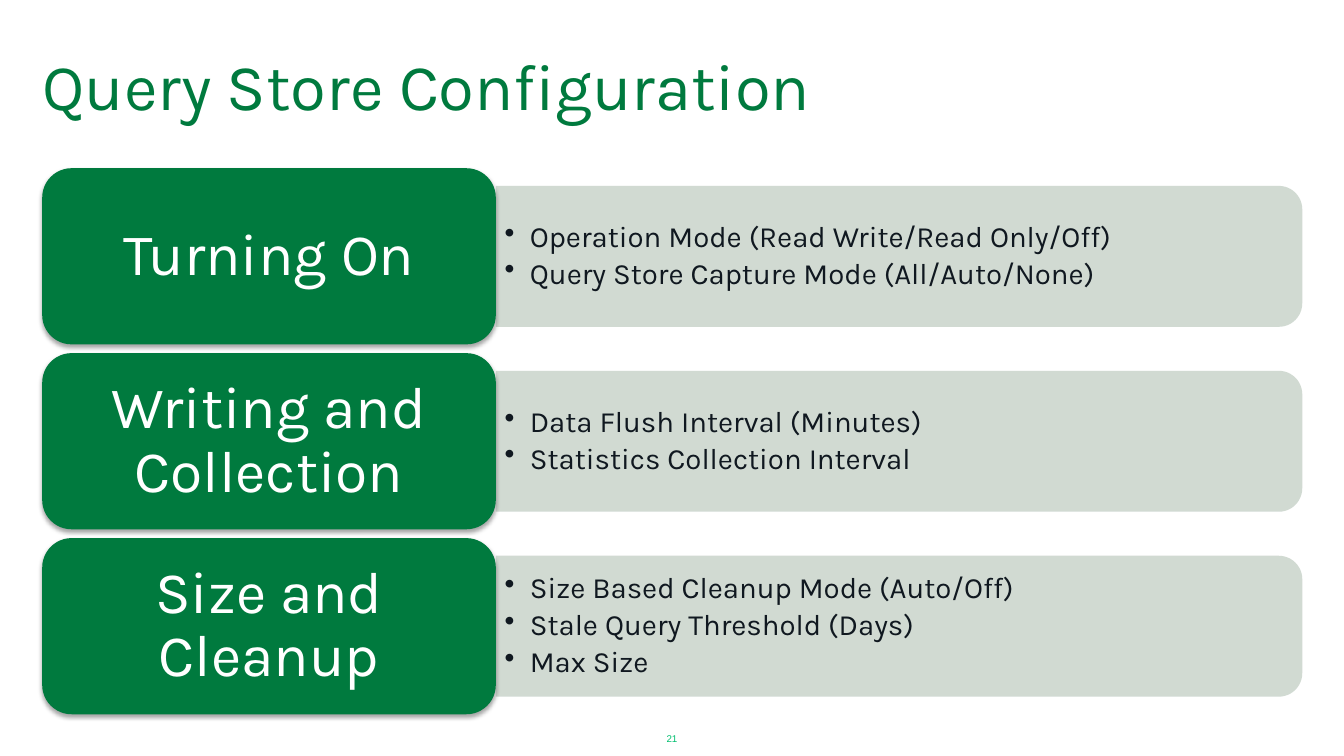
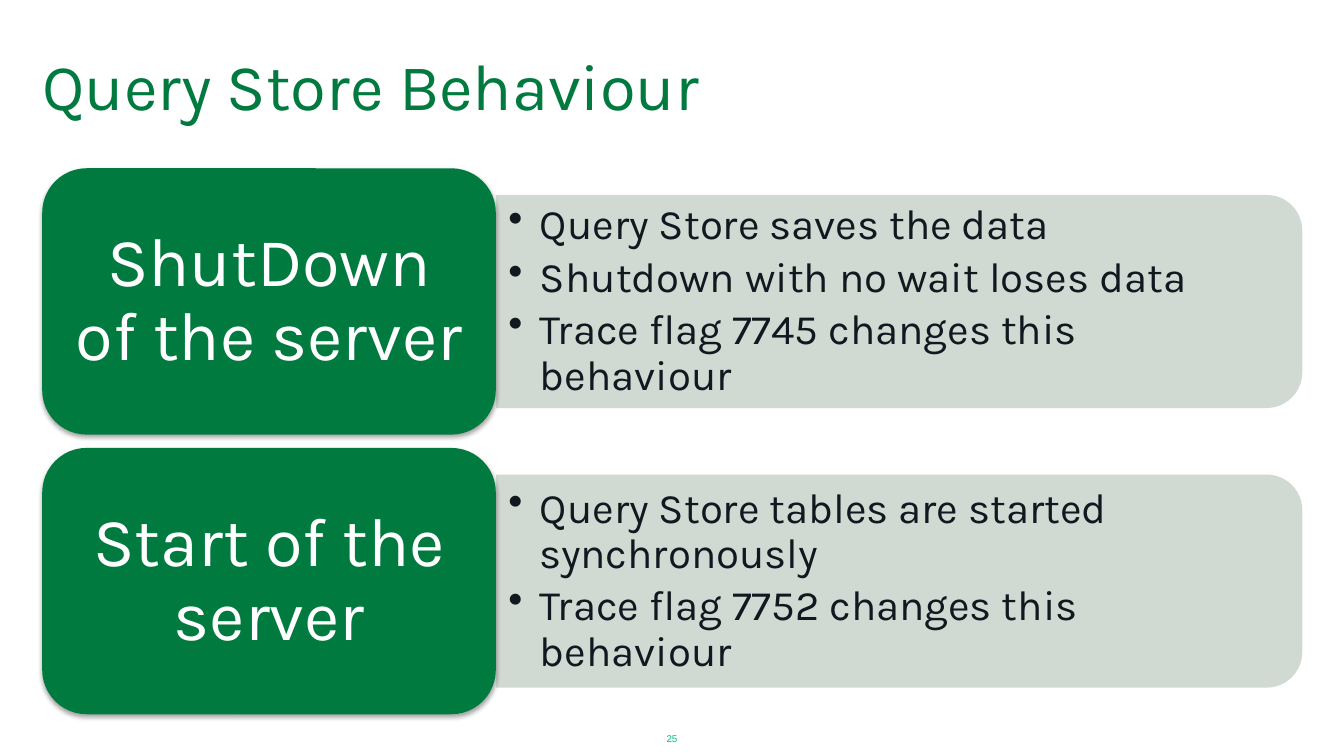
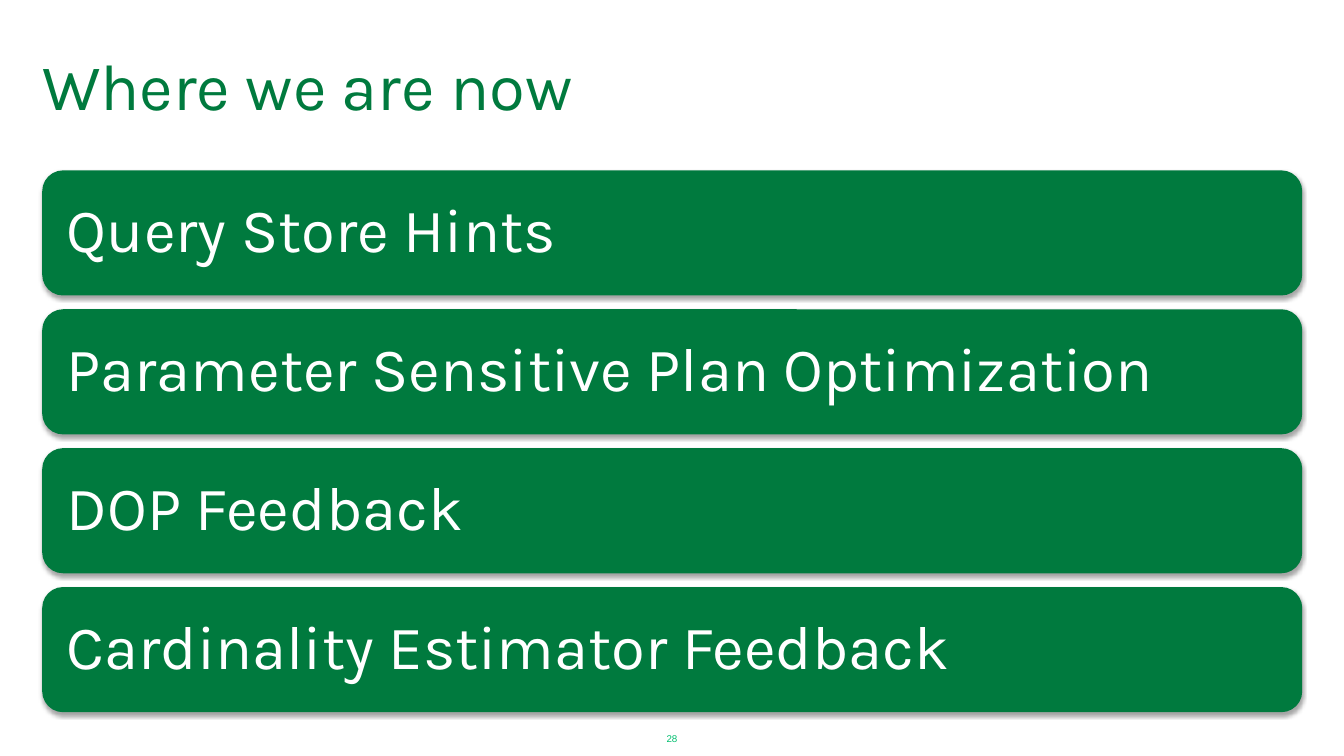
from pptx import Presentation
from pptx.util import Pt
from pptx.dml.color import RGBColor
from pptx.enum import shapes, text
from pptx.oxml import parse_xml
from pptx.oxml.ns import nsdecls, qn
from lxml import etree

GREEN = RGBColor(0x00, 0x7A, 0x3E)
MINT = RGBColor(0x00, 0xBF, 0x6F)
SAGE = RGBColor(0xCC, 0xD7, 0xCE)
INK = RGBColor(0x10, 0x18, 0x20)
WHITE = RGBColor(0xFF, 0xFF, 0xFF)
LEFT, CENTER = text.PP_ALIGN.LEFT, text.PP_ALIGN.CENTER

SHADOW = (f'<a:effectLst {nsdecls("a")}><a:outerShdw blurRad="{Pt(3.1)}" dist="{Pt(1.8)}" '
          'dir="5400000" rotWithShape="0"><a:srgbClr val="000000"><a:alpha val="35000"/>'
          '</a:srgbClr></a:outerShdw></a:effectLst>')


def write(sp, lines, size, color, font="Karla", align=LEFT, inset=(0, 0),
          spacing=1.0, indent=0):
    """Fill a shape with paragraphs; an indent makes them bullets."""
    tf = sp.text_frame
    tf.word_wrap = True
    tf.vertical_anchor = text.MSO_ANCHOR.MIDDLE
    tf.margin_left = tf.margin_right = Pt(inset[0])
    tf.margin_top = tf.margin_bottom = Pt(inset[1])
    for i, line in enumerate(lines):
        p = tf.paragraphs[0] if i == 0 else tf.add_paragraph()
        p.alignment = align
        p.line_spacing = spacing
        if i:
            p.space_before = Pt(round(size * 0.17, 1))
        if indent:
            pPr = p._p.get_or_add_pPr()
            pPr.set("marL", str(Pt(indent)))
            pPr.set("indent", str(-Pt(indent)))
            etree.SubElement(pPr, qn("a:buChar")).set("char", "•")
        r = p.add_run()
        r.text = line
        r.font.size, r.font.name = Pt(size), font
        r.font.color.rgb = color


def add_box(s, kind, x, y, w, h, fill):
    """Add a borderless filled shape without a shadow."""
    sp = s.shapes.add_shape(kind, Pt(x), Pt(y), Pt(w), Pt(h))
    sp.shadow.inherit = False
    sp.fill.solid()
    sp.fill.fore_color.rgb = fill
    sp.line.fill.background()
    return sp


# Shared grid
LEFT_EDGE, TOP, WIDTH, HEIGHT = 30.2, 120.2, 900, 390
CARD_W = 324
PANEL_X, PANEL_W = LEFT_EDGE + CARD_W, WIDTH - CARD_W

# Rows hold a card label and its bullets
slides = [
    dict(title="Query Store Configuration", number="21", gap=0.05,
         card=42, card_inset=(12, 6.3), body=21, body_inset=(6.3, 3.2), indent=18,
         rows=[("Turning On", ["Operation Mode (Read Write/Read Only/Off)",
                               "Query Store Capture Mode (All/Auto/None)"]),
               ("Writing and Collection", ["Data Flush Interval (Minutes)",
                                           "Statistics Collection Interval"]),
               ("Size and Cleanup", ["Size Based Cleanup Mode (Auto/Off)",
                                     "Stale Query Threshold (Days)", "Max Size"])]),
    dict(title="Query Store Behaviour", number="25", gap=0.05,
         card=49, card_inset=(14.4, 7.2), body=30, body_inset=(9, 4.5), indent=22.5,
         rows=[("ShutDown of the server", ["Query Store saves the data",
                                           "Shutdown with no wait loses data",
                                           "Trace flag 7745 changes this behaviour"]),
               ("Start of the server", ["Query Store tables are started synchronously",
                                        "Trace flag 7752 changes this behaviour"])]),
    dict(title="Where we are now", number="28", gap=0.11, card=44, card_inset=(13.2, 13.2),
         rows=[("Query Store Hints", []), ("Parameter Sensitive Plan Optimization", []),
               ("DOP Feedback", []), ("Cardinality Estimator Feedback", [])]),
]

prs = Presentation()
prs.slide_width, prs.slide_height = Pt(960), Pt(540)

for d in slides:
    s = prs.slides.add_slide(prs.slide_layouts[6])

    # Page number and title
    sp = s.shapes.add_textbox(Pt(457.7), Pt(515.5), Pt(44.6), Pt(24.5))
    write(sp, [d["number"]], 7, MINT, font="Arial", align=CENTER, inset=(7.2, 3.6))
    sp = s.shapes.add_textbox(Pt(LEFT_EDGE), Pt(30), Pt(WIDTH), Pt(60))
    write(sp, [d["title"]], 46.6, GREEN)

    # Rows share the height; each gap is a fraction of a row
    n = len(d["rows"])
    has_panels = "body" in d
    margin = 0 if has_panels else 1.5
    row_h = (HEIGHT - 2 * margin) / (n + (n - 1) * d["gap"])
    for i, (label, bullets) in enumerate(d["rows"]):
        y = TOP + margin + i * row_h * (1 + d["gap"])

        # Panel: a shape rounded at its top, turned to face right
        if has_panels:
            h = row_h * 0.8
            panel_y = y + row_h * 0.1
            sp = add_box(s, shapes.MSO_SHAPE.ROUND_2_SAME_RECTANGLE,
                         PANEL_X + (PANEL_W - h) / 2, panel_y + (h - PANEL_W) / 2,
                         h, PANEL_W, SAGE)
            sp.rotation = 90
            clr = sp._element.spPr.find(qn("a:solidFill"))[0]
            etree.SubElement(clr, qn("a:alpha")).set("val", "90000")
            sp = s.shapes.add_textbox(Pt(PANEL_X), Pt(panel_y), Pt(PANEL_W - h * 0.05), Pt(h))
            write(sp, bullets, d["body"], INK, inset=d["body_inset"], spacing=0.9,
                  indent=d["indent"])

        # Card
        sp = add_box(s, shapes.MSO_SHAPE.ROUNDED_RECTANGLE, LEFT_EDGE, y,
                     CARD_W if has_panels else WIDTH, row_h, GREEN)
        spPr = sp._element.spPr
        spPr.replace(spPr.find(qn("a:effectLst")), parse_xml(SHADOW))
        write(sp, [label], d["card"], WHITE, align=CENTER if has_panels else LEFT,
              inset=d["card_inset"], spacing=0.9)

prs.save("out.pptx")
